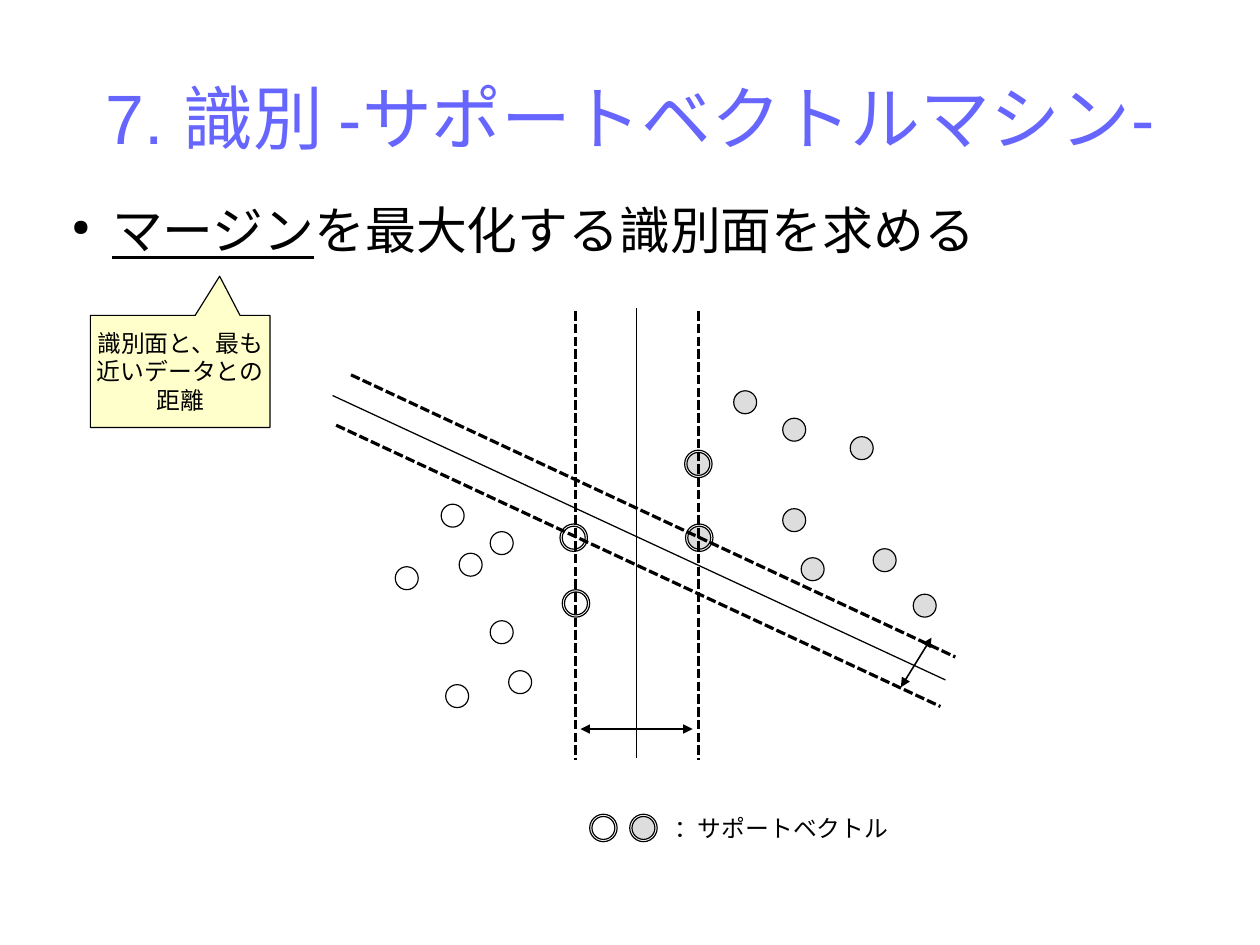
from lxml import etree
from pptx import Presentation
from pptx.dml.color import RGBColor
from pptx.enum.dml import MSO_LINE
from pptx.enum.shapes import MSO_CONNECTOR, MSO_SHAPE
from pptx.enum.text import MSO_ANCHOR, MSO_AUTO_SIZE, PP_ALIGN
from pptx.oxml.ns import qn
from pptx.util import Cm, Pt

CALLOUT = MSO_SHAPE.RECTANGULAR_CALLOUT
OVAL = MSO_SHAPE.OVAL
STRAIGHT = MSO_CONNECTOR.STRAIGHT
DASH = MSO_LINE.SQUARE_DOT
MIDDLE = MSO_ANCHOR.MIDDLE
CENTER = PP_ALIGN.CENTER
LEFT = PP_ALIGN.LEFT
NO_AUTOFIT = MSO_AUTO_SIZE.NONE

BLACK, VIOLET, CREAM = "000000", "6666FF", "FFFFCC"
WHITE_CLASS, GREY_CLASS = "FFFFFF", "DDDDDD"
FONT = "Arial"
POINT_SIZE, RING_SIZE = 0.51, 0.61

# Centres in cm
WHITE_POINTS = [(10.06, 11.46), (10.46, 12.55), (9.04, 12.85), (11.15, 14.05),
                (11.56, 15.16), (10.16, 15.47), (11.15, 12.07)]
GREY_POINTS = [(16.56, 8.94), (17.65, 11.56), (18.06, 12.65), (19.66, 12.45),
               (19.15, 9.96), (20.55, 13.46), (17.65, 9.55)]
LEGEND_Y = 18.4
WHITE_VECTORS = [(12.75, 11.95), (12.8, 13.41), (13.41, LEGEND_Y)]
GREY_VECTORS = [(15.54, 11.95), (15.52, 10.31), (14.3, LEGEND_Y)]

# Start and end in cm
BOUNDARIES = [((14.15, 6.84), (14.15, 16.84)), ((7.39, 8.79), (21.01, 15.11))]
MARGINS = [((12.78, 6.91), (12.78, 16.89)), ((15.52, 6.91), (15.52, 16.89)),
           ((7.8, 8.33), (21.23, 14.6)), ((7.47, 9.45), (20.9, 15.7))]


def rgb(color):
    return RGBColor.from_string(color)


class Diagram:
    def __init__(self, slide):
        self.slide = slide
        self.shapes = slide.shapes

    def style(self, paragraph, size, color=BLACK, align=LEFT):
        paragraph.alignment = align
        paragraph.font.name = FONT
        paragraph.font.size = Pt(size)
        paragraph.font.color.rgb = rgb(color)

    def frame(self, shape, wrap=True, pad=(0, 0)):
        """Set wrapping and the side and top padding of a shape's text."""
        text = shape.text_frame
        text.auto_size = NO_AUTOFIT
        text.word_wrap = wrap
        text.margin_left = text.margin_right = Cm(pad[0])
        text.margin_top = text.margin_bottom = Cm(pad[1])
        return text

    def title(self, words, box):
        title = self.shapes.title
        title.left, title.top, title.width, title.height = map(Cm, box)
        text = self.frame(title)
        text.vertical_anchor = MIDDLE
        text.text = words
        self.style(text.paragraphs[0], 44, VIOLET, CENTER)

    def bullet(self, underlined, rest, box):
        text = self.frame(self.shapes.add_textbox(*map(Cm, box)))
        point = text.paragraphs[0]
        self.style(point, 32)
        term = point.add_run()
        term.text = underlined
        term.font.underline = True
        point.add_run().text = rest
        props = point._p.get_or_add_pPr()
        props.set("marL", str(Cm(1.19)))
        props.set("indent", str(-Cm(0.89)))
        size = etree.Element(qn("a:buSzPct"), val="45000")
        mark = etree.Element(qn("a:buChar"), char="●")
        for position, element in enumerate((size, mark)):
            props.insert(position, element)

    def label(self, words, box):
        text = self.frame(self.shapes.add_textbox(*map(Cm, box)), False, (0.25, 0.13))
        text.text = words
        self.style(text.paragraphs[0], 15)

    def shape(self, kind, box, fill=None):
        shape = self.shapes.add_shape(kind, *map(Cm, box))
        shape.shadow.inherit = False
        if fill:
            shape.fill.solid()
            shape.fill.fore_color.rgb = rgb(fill)
        else:
            shape.fill.background()
        shape.line.color.rgb = rgb(BLACK)
        shape.line.width = Pt(0)
        return shape

    def circle(self, centre, size, fill=None):
        x, y = centre
        self.shape(OVAL, (x - size / 2, y - size / 2, size, size), fill)

    def support_vector(self, centre, fill):
        self.circle(centre, POINT_SIZE, fill)
        self.circle(centre, RING_SIZE)

    def callout(self, rows, box, tip):
        note = self.shape(CALLOUT, box, CREAM)
        note.adjustments[0], note.adjustments[1] = tip
        text = self.frame(note, False, (0.25, 0.13))
        text.vertical_anchor = MIDDLE
        text.text = "\n".join(rows)
        for row in text.paragraphs:
            self.style(row, 15, align=CENTER)

    def line(self, start, end, width, dash=None, arrows=False):
        line = self.shapes.add_connector(STRAIGHT, *map(Cm, start + end))
        line.line.color.rgb = rgb(BLACK)
        line.line.width = Pt(width)
        if dash:
            line.line.dash_style = dash
        props = line._element.spPr
        if arrows:
            for end_tag in ("a:headEnd", "a:tailEnd"):
                etree.SubElement(props.find(qn("a:ln")), qn(end_tag), type="triangle")
        etree.SubElement(props, qn("a:effectLst"))


def main():
    deck = Presentation()
    deck.slide_width, deck.slide_height = Cm(28), Cm(21)
    title_only = deck.slide_layouts[5]
    diagram = Diagram(deck.slides.add_slide(title_only))

    diagram.title("7. 識別 -サポートベクトルマシン-", (1.4, 0.84, 25.2, 3.5))
    diagram.bullet("マージン", "を最大化する識別面を求める", (1.3, 4.42, 25.2, 2.59))

    for points, vectors, fill in ((WHITE_POINTS, WHITE_VECTORS, WHITE_CLASS),
                                  (GREY_POINTS, GREY_VECTORS, GREY_CLASS)):
        for centre in points:
            diagram.circle(centre, POINT_SIZE, fill)
        for centre in vectors:
            diagram.support_vector(centre, fill)

    for start, end in MARGINS:
        diagram.line(start, end, 0, DASH)
    for start, end in BOUNDARIES:
        diagram.line(start, end, 0.79)
    diagram.line((12.9, 16.2), (15.39, 16.2), 1.5, arrows=True)
    diagram.line((20.02, 15.27), (20.7, 14.17), 1, arrows=True)

    diagram.callout(["識別面と、最も", "近いデータとの", "距離"],
                    (2.01, 7.01, 3.99, 2.49), (0.22, -0.85))
    diagram.label("：サポートベクトル", (14.73, 17.96, 5.26, 1.04))
    deck.save("out.pptx")


if __name__ == "__main__":
    main()
